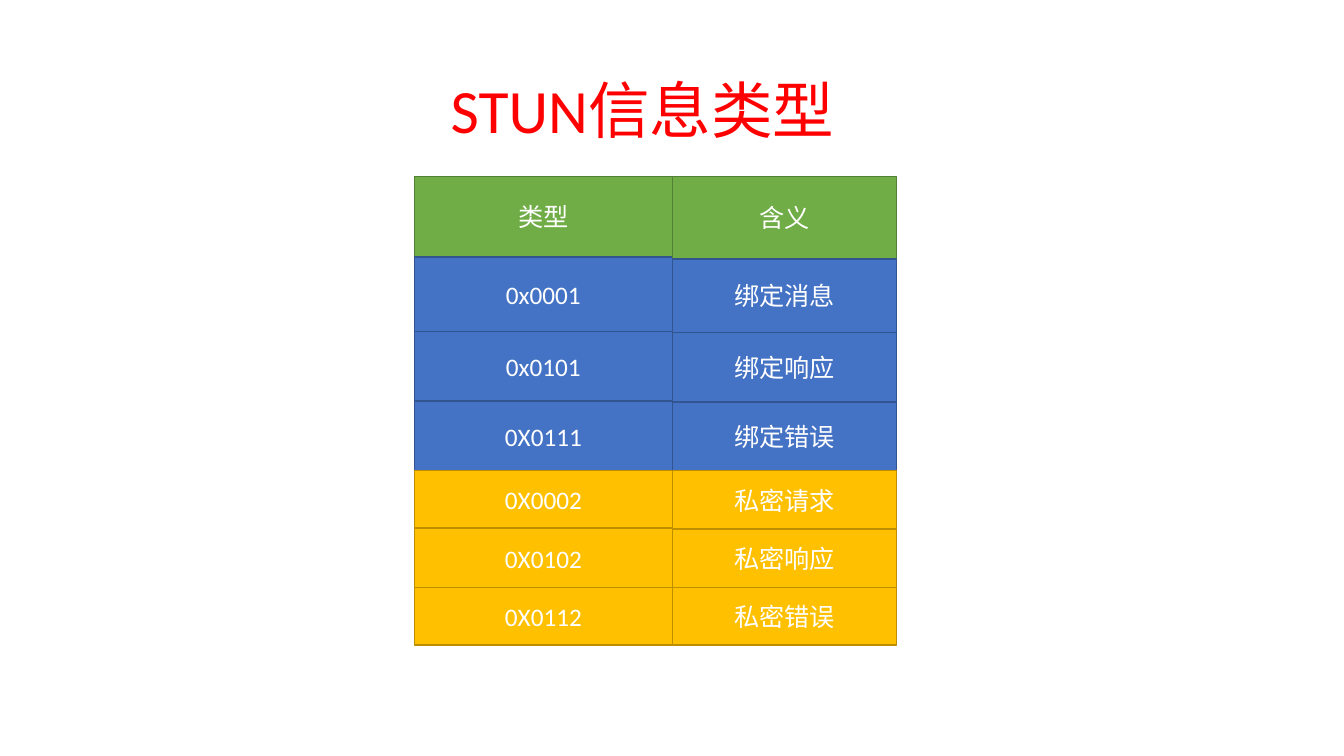
from itertools import pairwise
from pptx import Presentation
from pptx.dml.color import RGBColor
from pptx.enum.shapes import MSO_SHAPE as Shape
from pptx.enum.text import MSO_ANCHOR as Anchor, PP_ALIGN as Align
from pptx.util import Inches, Pt

COLORS = {
    "title": "FF0000", "text": "FFFFFF",
    "head": "70AD47", "head_edge": "538035",
    "bind": "4472C4", "bind_edge": "325491",
    "secret": "FFC000", "secret_edge": "BD8E00",
}
KINDS = ["head"] + ["bind"] * 3 + ["secret"] * 3
CODES = ["类型", "0x0001", "0x0101", "0X0111", "0X0002", "0X0102", "0X0112"]
NAMES = ["含义", "绑定消息", "绑定响应", "绑定错误",
         "私密请求", "私密响应", "私密错误"]
CODE_TOPS = [1.75, 2.55, 3.29, 3.98, 4.67, 5.24, 5.83, 6.4]
NAME_TOPS = [1.75, 2.57, 3.3, 3.99, 4.67, 5.25, 5.83, 6.4]


def color(name):
    """Return the named colour."""
    return RGBColor.from_string(COLORS[name])


def write(shape, text, size, name, align):
    """Write one line of text into a shape and return its paragraph."""
    frame = shape.text_frame
    frame.text = text
    frame.vertical_anchor = Anchor.MIDDLE
    para = frame.paragraphs[0]
    para.alignment = align
    font = para.font
    font.name, font.size = "Calibri", Pt(size)
    font.color.rgb = color(name)
    return para


def add_title(slide, text):
    """Fill the title placeholder, indented to stand over the grid."""
    title = slide.shapes.title
    title.left, title.top = Inches(0.92), Inches(0.4)
    title.width, title.height = Inches(11.5), Inches(1.45)
    para = write(title, text, 44, "title", Align.LEFT)
    para.line_spacing = 0.9
    props = para._p.get_or_add_pPr()
    props.set("marL", str(Inches(3.45)))
    props.set("indent", "0")


def add_cell(slide, box, text, kind):
    """Add one coloured, outlined cell."""
    cell = slide.shapes.add_shape(Shape.RECTANGLE, *map(Inches, box))
    cell.shadow.inherit = False
    cell.fill.solid()
    cell.fill.fore_color.rgb = color(kind)
    cell.line.color.rgb = color(f"{kind}_edge")
    cell.line.width = Pt(1)
    write(cell, text, 18, "text", Align.CENTER)


def add_column(slide, left, width, tops, texts):
    """Stack the cells of one column, each reaching to the next."""
    for (top, end), text, kind in zip(pairwise(tops), texts, KINDS):
        add_cell(slide, (left, top, width, end - top), text, kind)


def main():
    """Build and save the slide."""
    deck = Presentation()
    deck.slide_width, deck.slide_height = Inches(13.33), Inches(7.5)
    slide = deck.slides.add_slide(deck.slide_layouts[5])
    add_title(slide, "STUN信息类型")
    add_column(slide, 4.11, 2.56, CODE_TOPS, CODES)
    add_column(slide, 6.67, 2.22, NAME_TOPS, NAMES)
    deck.save("out.pptx")


if __name__ == "__main__":
    main()
